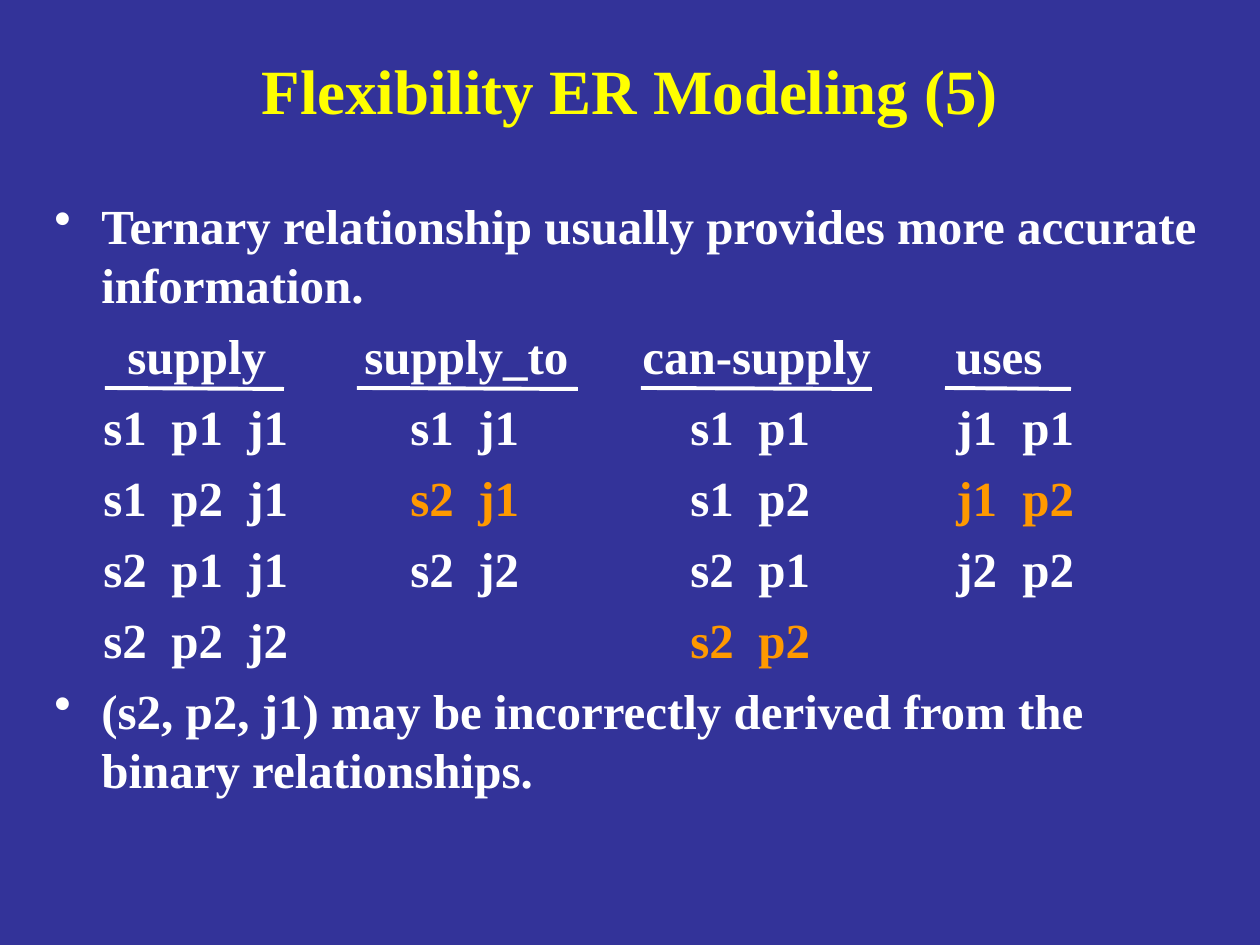
from lxml import etree
from pptx import Presentation
from pptx import util as u
from pptx.dml.color import RGBColor
from pptx.enum import shapes, text
from pptx.oxml import ns

BLUE = RGBColor(0x33, 0x33, 0x99)
YELLOW = RGBColor(0xFF, 0xFF, 0x00)
WHITE = RGBColor(0xFF, 0xFF, 0xFF)
ORANGE = RGBColor(0xFF, 0x99, 0x00)
FONT = "Times New Roman"


def px(value):
    """Turn slide pixels (126 to the inch) into EMU."""
    return u.Emu(round(value * 914400 / 126))


def add_run(paragraph, words, size, color):
    run = paragraph.add_run()
    run.text = words
    run.font.name = FONT
    run.font.size = u.Pt(size)
    run.font.bold = True
    run.font.color.rgb = color


presentation = Presentation()
presentation.slide_width = px(1260)
presentation.slide_height = px(945)
slide = presentation.slides.add_slide(presentation.slide_layouts[5])
slide.background.fill.solid()
slide.background.fill.fore_color.rgb = BLUE

title = slide.shapes.title
title.left, title.top, title.width, title.height = px(94), px(31), px(1072), px(116)
title.text_frame.vertical_anchor = text.MSO_ANCHOR.MIDDLE
title.text_frame.paragraphs[0].alignment = text.PP_ALIGN.CENTER
add_run(title.text_frame.paragraphs[0], "Flexibility ER Modeling (5)", 36, YELLOW)

# Tab stops are measured from the left edge of the body text.
HEADER_STOPS = [73, 310, 588, 901]
ROW_STOPS = [49, 117, 193, 356, 424, 636, 704, 902, 968]
HEADERS = ["supply", "supply_to", "can-supply", "uses"]
ROWS = [
    ["s1 p1 j1", "s1 j1", "s1 p1", "j1 p1"],
    ["s1 p2 j1", "s2 j1", "s1 p2", "j1 p2"],
    ["s2 p1 j1", "s2 j2", "s2 p1", "j2 p2"],
    ["s2 p2 j2", None, "s2 p2"],
]
WRONG = {(1, 1), (1, 3), (3, 2)}  # row and relation of the misleading pairs

lines = [(None, [("Ternary relationship usually provides more accurate information.", WHITE)])]
lines.append((HEADER_STOPS, [("\t" + header, WHITE) for header in HEADERS]))
for row_number, row in enumerate(ROWS):
    groups = []
    for column, values in enumerate(row):
        cells = values.split() if values else ["", ""]
        color = ORANGE if (row_number, column) in WRONG else WHITE
        groups.append(("".join("\t" + cell for cell in cells), color))
    lines.append((ROW_STOPS, groups))
lines.append((None, [("(s2, p2, j1) may be incorrectly derived from the binary relationships.", WHITE)]))

body = slide.shapes.add_textbox(px(42), px(189), px(1176), px(724)).text_frame
body.word_wrap = True
for number, (stops, groups) in enumerate(lines):
    paragraph = body.add_paragraph() if number else body.paragraphs[0]
    properties = paragraph._p.get_or_add_pPr()
    if stops:
        tab_list = etree.SubElement(properties, ns.qn("a:tabLst"))
        for stop in stops:
            etree.SubElement(tab_list, ns.qn("a:tab"), pos=str(px(stop)), algn="l")
    else:
        properties.set("marL", str(px(47)))
        properties.set("indent", str(px(-47)))
        etree.SubElement(properties, ns.qn("a:buChar"), char="•")
    if number:
        paragraph.space_before = u.Pt(7)
    for words, color in groups:
        add_run(paragraph, words, 28, color)

for left, right in [(105, 284), (357, 578), (641, 872), (945, 1071)]:
    underline = slide.shapes.add_connector(
        shapes.MSO_CONNECTOR.STRAIGHT, px(left), px(388), px(right), px(389))
    underline.line.color.rgb = WHITE
    underline.line.width = u.Pt(2.25)
    etree.SubElement(underline._element.spPr, ns.qn("a:effectLst"))

presentation.save("out.pptx")
